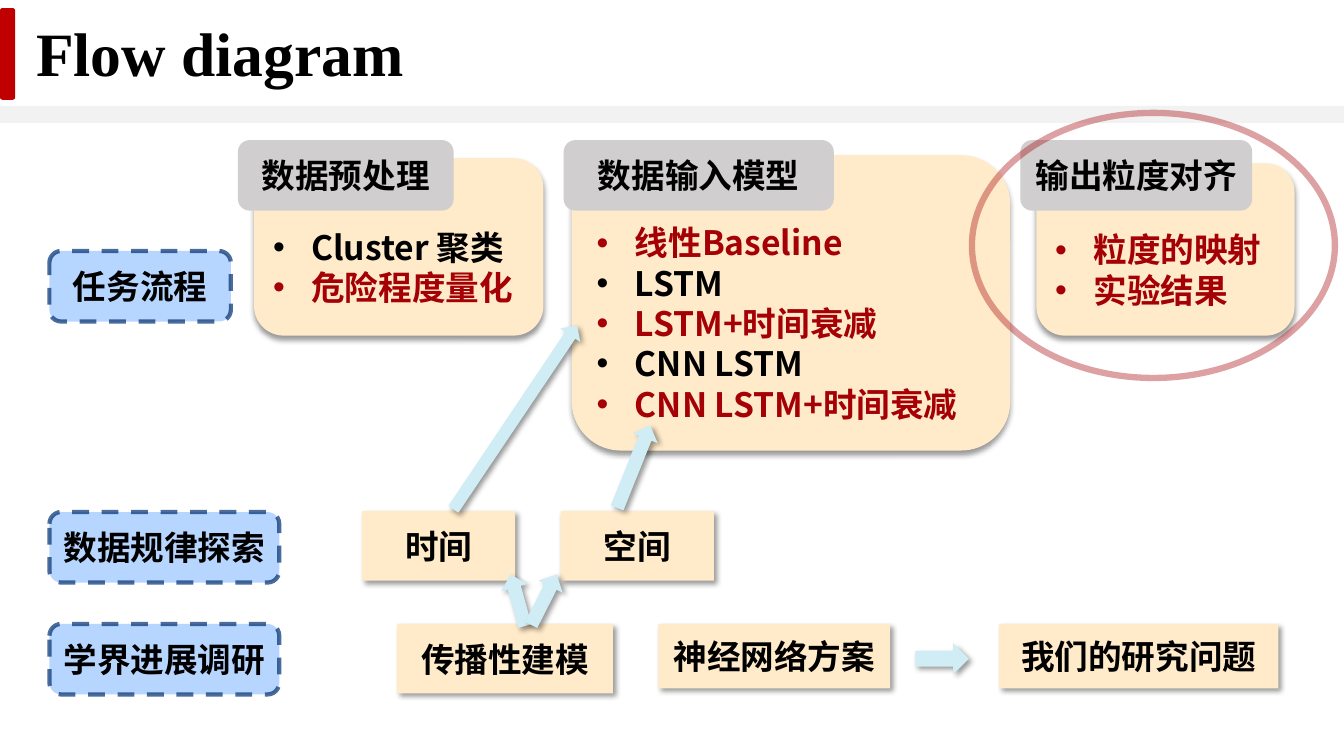
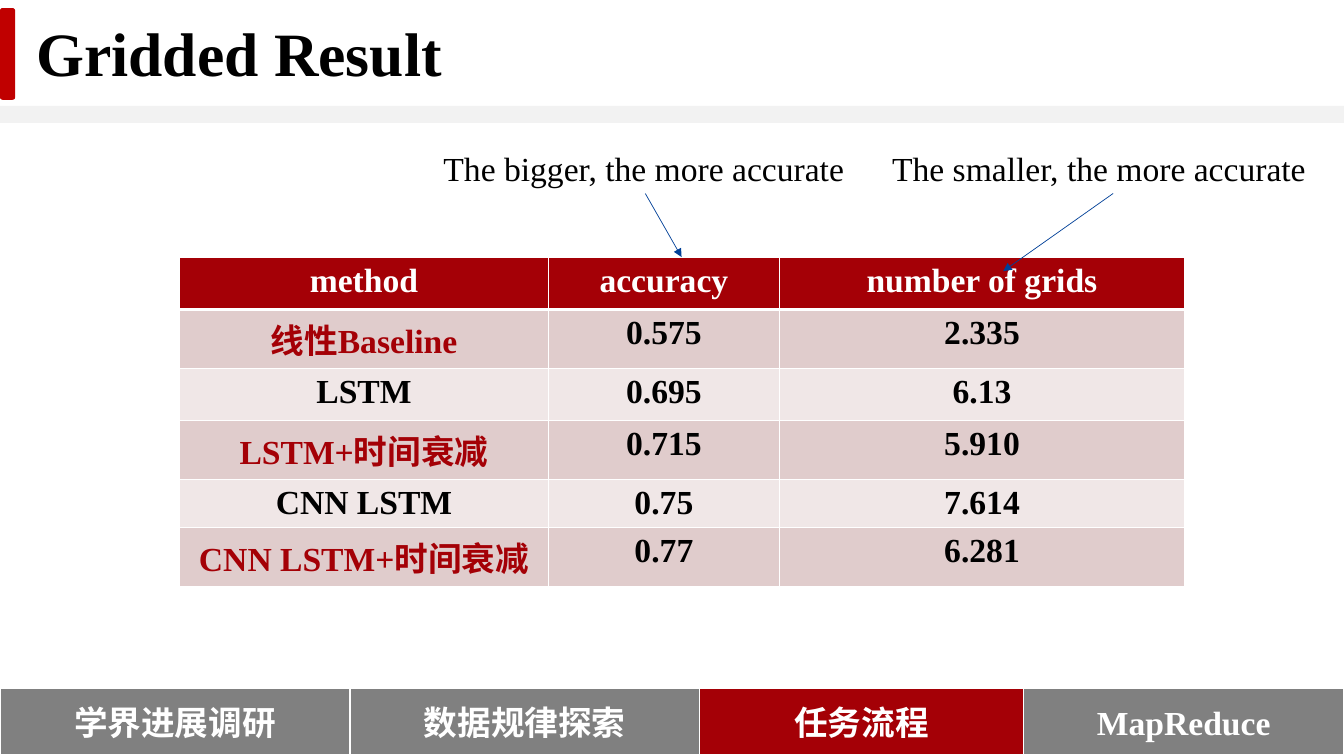
from itertools import accumulate
from typing import NamedTuple

from lxml.etree import SubElement
from pptx import Presentation
from pptx.dml.color import RGBColor
from pptx.enum.dml import MSO_LINE_DASH_STYLE as Dash
from pptx.enum.shapes import MSO_CONNECTOR as Connector, MSO_SHAPE as Preset
from pptx.enum.text import MSO_ANCHOR as Anchor, MSO_AUTO_SIZE as AutoSize, PP_ALIGN as Align
from pptx.oxml.ns import qn
from pptx.util import Inches, Pt

BLACK = RGBColor(0x00, 0x00, 0x00)
WHITE = RGBColor(0xFF, 0xFF, 0xFF)
BAND_GREY = RGBColor(0xF2, 0xF2, 0xF2)
MARKER_RED = RGBColor(0xC0, 0x00, 0x00)
DARK_RED = RGBColor(0xA4, 0x00, 0x06)
CREAM = RGBColor(0xFF, 0xEB, 0xCA)
TAG_GREY = RGBColor(0xD0, 0xCE, 0xCE)
STAGE_BLUE = RGBColor(0xB7, 0xD6, 0xFF)
STAGE_EDGE = RGBColor(0x00, 0x2F, 0x70)
ARROW_BLUE = RGBColor(0xD0, 0xED, 0xF6)
POINTER_BLUE = RGBColor(0x00, 0x40, 0x98)
TAB_GREY = RGBColor(0x80, 0x80, 0x80)
ROW_DARK = RGBColor(0xE0, 0xCC, 0xCC)
ROW_LIGHT = RGBColor(0xF0, 0xE7, 0xE7)

SANS = "Noto Sans CJK SC"
SERIF = "Times New Roman"
LABEL = {"name": SANS, "size": Pt(24), "bold": True}
SERIF_BOLD = LABEL | {"name": SERIF}
SERIF_PLAIN = SERIF_BOLD | {"bold": False}
TITLE = SERIF_BOLD | {"size": Pt(44)}
NO_MARGINS = dict.fromkeys(("margin_left", "margin_top", "margin_right", "margin_bottom"), 0)


class Box(NamedTuple):
    """Place and size in inches."""
    left: float
    top: float
    width: float
    height: float


class Edge(NamedTuple):
    """Outline of a shape; opacity in percent."""
    color: RGBColor
    width: float
    opacity: int = 100
    dash: Dash = Dash.SOLID


class Label(NamedTuple):
    """Text in a box."""
    text: str
    box: Box


class Card(NamedTuple):
    """Titled card with a list of (text, highlighted) items."""
    tag: Label
    box: Box
    items: list[tuple[str, bool]]


class Arrow(NamedTuple):
    """Block arrow turned by an angle in degrees."""
    preset: Preset
    box: Box
    rotation: float = 0


class Tab(NamedTuple):
    """One part of the footer navigation."""
    text: str
    width: float
    color: RGBColor = TAB_GREY


STAGES = [
    Label("任务流程", Box(0.49, 2.49, 1.8, 0.7)),
    Label("数据规律探索", Box(0.49, 5.08, 2.28, 0.7)),
    Label("学界进展调研", Box(0.49, 6.19, 2.28, 0.7)),
]
STEPS = [
    Label("时间", Box(3.59, 5.07, 1.52, 0.69)),
    Label("空间", Box(5.56, 5.07, 1.52, 0.69)),
    Label("传播性建模", Box(3.94, 6.19, 2.14, 0.69)),
    Label("神经网络方案", Box(6.53, 6.19, 2.3, 0.64)),
    Label("我们的研究问题", Box(9.91, 6.19, 2.77, 0.64)),
]
METHODS = [("线性Baseline", True), ("LSTM", False), ("LSTM+时间衰减", True),
           ("CNN LSTM", False), ("CNN LSTM+时间衰减", True)]
CARDS = [
    Card(Label("数据预处理", Box(2.36, 1.39, 2.14, 0.7)), Box(2.52, 1.57, 2.87, 1.76),
         [("Cluster 聚类", False), ("危险程度量化", True)]),
    Card(Label("输出粒度对齐", Box(10.12, 1.39, 2.3, 0.7)), Box(10.28, 1.62, 2.56, 1.71),
         [("粒度的映射", True), ("实验结果", True)]),
    Card(Label("数据输入模型", Box(5.59, 1.39, 2.68, 0.7)), Box(5.67, 1.54, 4.35, 2.93), METHODS),
]
ARROWS = [
    Arrow(Preset.RIGHT_ARROW, Box(9.08, 6.38, 0.53, 0.31)),
    Arrow(Preset.UP_ARROW, Box(5, 5.69, 0.27, 0.53), 344.6),
    Arrow(Preset.UP_ARROW, Box(5.26, 5.67, 0.27, 0.56), 26.9),
    Arrow(Preset.UP_ARROW, Box(4.99, 3.04, 0.24, 2.2), 33.9),
    Arrow(Preset.UP_ARROW, Box(6.15, 4.19, 0.27, 0.88), 21.9),
]
HEADER = ("method", "accuracy", "number of grids")
RESULTS = [("0.575", "2.335"), ("0.695", "6.13"), ("0.715", "5.910"), ("0.75", "7.614"), ("0.77", "6.281")]
COLUMN_WIDTHS = (3.66, 2.29, 4.02)
ROW_HEIGHTS = (0.52, 0.58, 0.52, 0.58, 0.48, 0.58)
NOTES = [
    (Label("The bigger, the more accurate", Box(4.3, 1.42, 4.3, 0.5)), (6.4, 1.92, 6.76, 2.55)),
    (Label("The smaller, the more accurate", Box(8.75, 1.42, 4.58, 0.5)), (11.04, 1.92, 9.95, 2.69)),
]
TABS = [Tab("学界进展调研", 3.47), Tab("数据规律探索", 3.47), Tab("任务流程", 3.21, DARK_RED), Tab("MapReduce", 3.18)]


def apply(target, values: dict) -> None:
    """Set every attribute named in values."""
    for name, value in values.items():
        setattr(target, name, value)


def place(shape, box: Box) -> None:
    """Move and size a shape."""
    apply(shape, {name: Inches(value) for name, value in box._asdict().items()})


def write(paragraph, text: str, style: dict, color: RGBColor, align: Align = Align.CENTER) -> None:
    """Put one formatted run in a paragraph."""
    paragraph.alignment = align
    run = paragraph.add_run()
    run.text = text
    apply(run.font, style)
    run.font.color.rgb = color
    SubElement(run.font._element, qn("a:ea"), typeface=SANS)


def add_shadow(shape, angle: int) -> None:
    """Give a shape a soft black shadow."""
    effects = shape.element.spPr.find(qn("a:effectLst"))
    shadow = SubElement(effects, qn("a:outerShdw"), blurRad=str(Pt(4)), dist=str(Pt(3)),
                        dir=str(angle * 60000), algn="t", rotWithShape="0")
    color = SubElement(shadow, qn("a:srgbClr"), val=str(BLACK))
    SubElement(color, qn("a:alpha"), val="40000")


def add_block(slide, preset: Preset, box: Box, fill: RGBColor | None, edge: Edge | None = None,
              shadow_angle: int | None = None):
    """Draw a preset shape."""
    shape = slide.shapes.add_shape(preset, *map(Inches, box))
    shape.shadow.inherit = False
    if fill is None:
        shape.fill.background()
    else:
        shape.fill.solid()
        shape.fill.fore_color.rgb = fill
    if edge is None:
        shape.line.fill.background()
    else:
        shape.line.color.rgb = edge.color
        apply(shape.line, {"width": Pt(edge.width), "dash_style": edge.dash})
        color = shape.element.spPr.find(f"{qn('a:ln')}//{qn('a:srgbClr')}")
        SubElement(color, qn("a:alpha"), val=str(edge.opacity * 1000))
    if shadow_angle is not None:
        add_shadow(shape, shadow_angle)
    return shape


def label_block(shape, text: str, style: dict = LABEL, color: RGBColor = BLACK) -> None:
    """Centre a label in a shape."""
    apply(shape.text_frame, NO_MARGINS | {"word_wrap": True, "vertical_anchor": Anchor.MIDDLE})
    write(shape.text_frame.paragraphs[0], text, style, color)


def add_page(presentation, layout: int, title: str):
    """Add a slide with the shared bands and title."""
    slide = presentation.slides.add_slide(presentation.slide_layouts[layout])
    add_block(slide, Preset.RECTANGLE, Box(0, 1.05, 13.33, 0.17), BAND_GREY)
    add_block(slide, Preset.ROUNDED_RECTANGLE, Box(0, 0.08, 0.15, 0.91), MARKER_RED)
    heading = slide.shapes.title
    place(heading, Box(0.26, 0.18, 8.07, 0.94))
    apply(heading.text_frame, {"vertical_anchor": Anchor.TOP, "auto_size": AutoSize.NONE})
    paragraph = heading.text_frame.paragraphs[0]
    paragraph.line_spacing = 0.9
    write(paragraph, title, TITLE, BLACK, Align.LEFT)
    return slide


def fill_list(body, items: list[tuple[str, bool]]) -> None:
    """Write bulleted items into a body placeholder."""
    frame = body.text_frame
    apply(frame, {"vertical_anchor": Anchor.MIDDLE, "auto_size": AutoSize.NONE, "word_wrap": True})
    for index, (text, highlighted) in enumerate(items):
        paragraph = frame.add_paragraph() if index else frame.paragraphs[0]
        properties = paragraph._p.get_or_add_pPr()
        properties.set("marL", str(Inches(0.38)))
        properties.set("indent", str(Inches(-0.38)))
        SubElement(properties, qn("a:buFont"), typeface="Arial")
        SubElement(properties, qn("a:buChar"), char="•")
        paragraph.space_before = Pt(0)
        write(paragraph, text, LABEL, DARK_RED if highlighted else BLACK, Align.LEFT)


def add_card(slide, card: Card, body) -> None:
    """Draw a card, its tag and its list."""
    left, top, width, height = card.box
    inset = 0.05 * height
    add_block(slide, Preset.ROUNDED_RECTANGLE, card.box, CREAM, shadow_angle=90)
    label_block(add_block(slide, Preset.ROUNDED_RECTANGLE, card.tag.box, TAG_GREY), card.tag.text)
    place(body, Box(left + inset, top + 0.2, width - 2 * inset, height))
    fill_list(body, card.items)
    slide.shapes.element.append(body.element)


def add_results(slide) -> None:
    """Draw the table of results."""
    size = Box(1.78, 2.55, sum(COLUMN_WIDTHS), sum(ROW_HEIGHTS))
    table = slide.shapes.add_table(len(ROW_HEIGHTS), len(COLUMN_WIDTHS), *map(Inches, size)).table
    for column, width in zip(table.columns, COLUMN_WIDTHS):
        column.width = Inches(width)
    for row, height in zip(table.rows, ROW_HEIGHTS):
        row.height = Inches(height)
    rows = [HEADER] + [(method, *values) for (method, _), values in zip(METHODS, RESULTS)]
    for row_index, texts in enumerate(rows):
        for column_index, text in enumerate(texts):
            cell = table.cell(row_index, column_index)
            widths = {"L": 1, "R": 1, "T": 3 if row_index == 1 else 1, "B": 1 if row_index else 3}
            for side, width in widths.items():
                border = SubElement(cell._tc.get_or_add_tcPr(), qn(f"a:ln{side}"), w=str(Pt(width)))
                SubElement(SubElement(border, qn("a:solidFill")), qn("a:srgbClr"), val=str(WHITE))
            if row_index == 0:
                fill, color = DARK_RED, WHITE
            else:
                fill = ROW_DARK if row_index % 2 else ROW_LIGHT
                highlighted = column_index == 0 and METHODS[row_index - 1][1]
                color = DARK_RED if highlighted else BLACK
            cell.fill.solid()
            cell.fill.fore_color.rgb = fill
            write(cell.text_frame.paragraphs[0], text, SERIF_BOLD, color)


def add_note(slide, label: Label, ends: tuple[float, ...]) -> None:
    """Draw a remark and its pointer."""
    pointer = slide.shapes.add_connector(Connector.STRAIGHT, *map(Inches, ends))
    pointer.line.color.rgb = POINTER_BLUE
    pointer.line.width = Pt(0.5)
    properties = pointer.element.spPr
    SubElement(properties.find(qn("a:ln")), qn("a:tailEnd"), type="triangle")
    SubElement(properties, qn("a:effectLst"))
    frame = slide.shapes.add_textbox(*map(Inches, label.box)).text_frame
    frame.word_wrap = True
    write(frame.paragraphs[0], label.text, SERIF_PLAIN, BLACK, Align.LEFT)


def build_flow(presentation) -> None:
    """Build the flow diagram slide."""
    slide = add_page(presentation, 4, "Flow diagram")
    bodies = [shape for shape in slide.placeholders if shape.placeholder_format.idx]
    for step in STEPS:
        label_block(add_block(slide, Preset.RECTANGLE, step.box, CREAM, shadow_angle=45), step.text)
    edge = Edge(STAGE_EDGE, 3, 70, Dash.DASH)
    for stage in STAGES:
        label_block(add_block(slide, Preset.ROUNDED_RECTANGLE, stage.box, STAGE_BLUE, edge), stage.text)
    for card, body in zip(CARDS, bodies):
        add_card(slide, card, body)
    for body in bodies[len(CARDS):]:
        slide.shapes.element.remove(body.element)
    for arrow in ARROWS:
        add_block(slide, arrow.preset, arrow.box, ARROW_BLUE, shadow_angle=45).rotation = arrow.rotation
    add_block(slide, Preset.OVAL, Box(9.64, 1.12, 3.6, 2.63), None, Edge(DARK_RED, 4.5, 36))


def build_results(presentation) -> None:
    """Build the results slide."""
    slide = add_page(presentation, 5, "Gridded Result")
    add_results(slide)
    for label, ends in NOTES:
        add_note(slide, label, ends)
    lefts = accumulate((tab.width for tab in TABS), initial=0)
    for tab, left in zip(TABS, lefts):
        box = Box(left, 6.83, tab.width, 0.66)
        label_block(add_block(slide, Preset.RECTANGLE, box, tab.color, Edge(WHITE, 1)), tab.text, SERIF_BOLD, WHITE)


def main() -> None:
    """Build and save the presentation."""
    presentation = Presentation()
    apply(presentation, {"slide_width": Inches(13.33), "slide_height": Inches(7.5)})
    build_flow(presentation)
    build_results(presentation)
    presentation.save("out.pptx")


if __name__ == "__main__":
    main()
